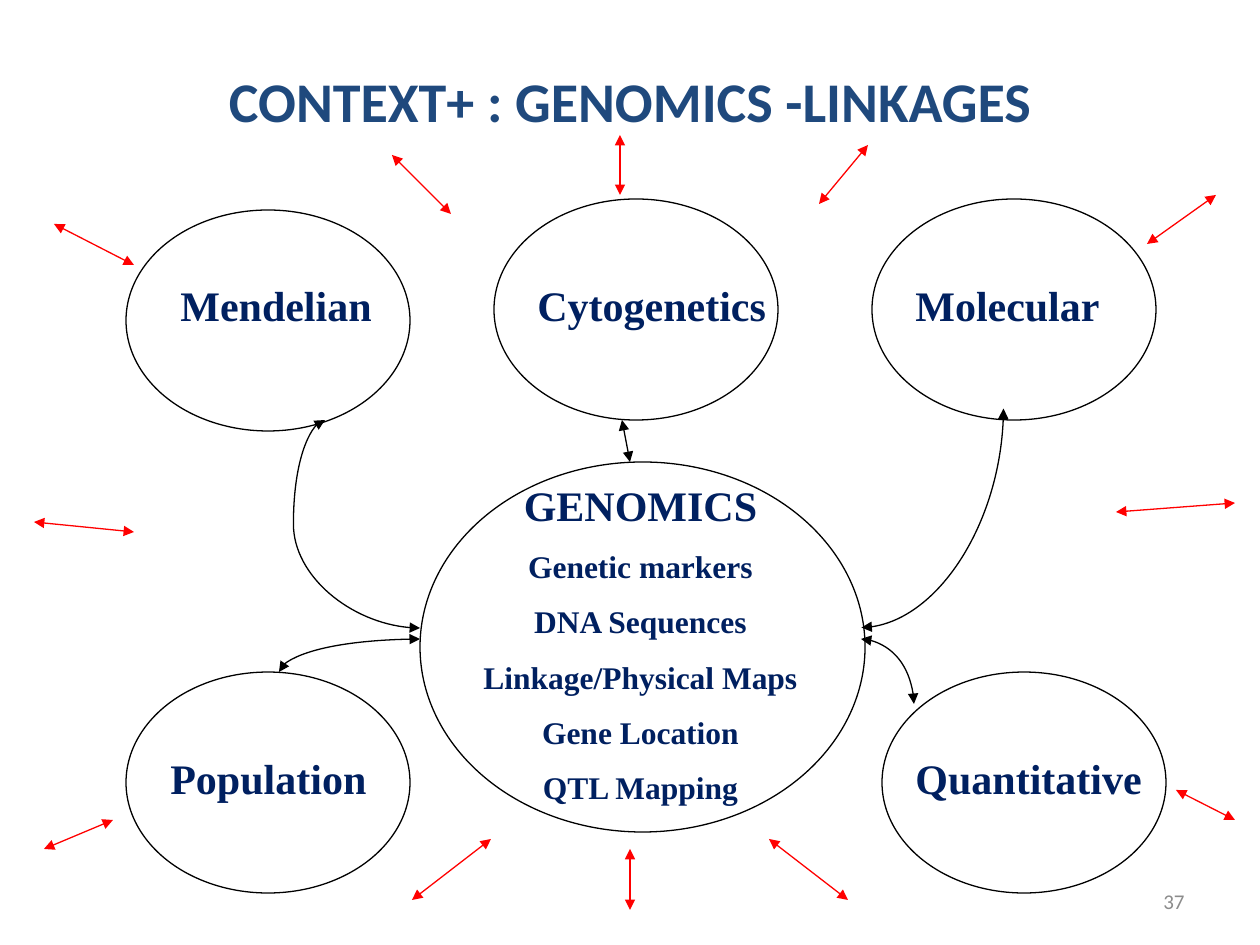
from pptx import Presentation
from pptx.dml.color import RGBColor
from pptx.enum.shapes import MSO_CONNECTOR as Link, MSO_SHAPE as Shape
from pptx.enum.text import MSO_ANCHOR as Anchor, PP_ALIGN as Align
from pptx.oxml.ns import qn
from pptx.util import Pt
from lxml.etree import SubElement

SCALE = 914400 / 126
BLACK = RGBColor(0, 0, 0)
RED = RGBColor(255, 0, 0)
NAVY = RGBColor(0x00, 0x20, 0x60)
BLUE = RGBColor(0x1F, 0x49, 0x7D)
GRAY = RGBColor(0x8C, 0x8C, 0x8C)
SERIF = "Times New Roman"
SANS = "Calibri"

FIELDS = [
    ("Mendelian", (126, 210), (168, 273, 220, 63)),
    ("Cytogenetics", (494, 199), (525, 273, 258, 113)),
    ("Molecular", (872, 199), (903, 273, 220, 63)),
    ("Population", (126, 672), (158, 746, 228, 113)),
    ("Quantitative", (882, 672), (903, 746, 256, 110)),
]
TOPICS = ["Genetic markers", "DNA Sequences", "Linkage/Physical Maps",
          "Gene Location", "QTL Mapping"]
CURVES = [
    ((325, 420, 95, 208), 180, 3),
    ((861, 639, 53, 65), 0, 2),
    ((823, 447, 219, 142), 90, 2),
    ((333, 585, 33, 141), 270, 2),
]
RAYS = [
    (44, 849, 113, 820), (1176, 790, 1235, 820), (1216, 195, 1147, 244),
    (620, 135, 620, 195), (54, 224, 134, 265), (134, 532, 34, 522),
    (868, 145, 819, 204), (392, 155, 451, 214), (1235, 503, 1116, 512),
    (412, 900, 491, 839), (848, 900, 769, 839), (630, 849, 630, 910),
]


def px(*nums):
    return [round(n * SCALE) for n in nums]


def add_text(slide, box, lines, font, color, bold=True,
             align=Align.LEFT, anchor=Anchor.TOP):
    frame = slide.shapes.add_textbox(*px(*box)).text_frame
    frame.word_wrap = True
    frame.vertical_anchor = anchor
    for i, (text, size) in enumerate(lines):
        para = frame.add_paragraph() if i else frame.paragraphs[0]
        para.text = text
        para.alignment = align
        if i:
            para.space_before = Pt(10)
        para.font.name = font
        para.font.size = Pt(size)
        para.font.bold = bold
        para.font.color.rgb = color


def add_oval(slide, box):
    oval = slide.shapes.add_shape(Shape.OVAL, *px(*box))
    oval.shadow.inherit = False
    oval.fill.background()
    oval.line.color.rgb = BLACK
    oval.line.width = Pt(0.75)


def add_link(slide, kind, ends, color):
    link = slide.shapes.add_connector(kind, *px(*ends))
    link.line.color.rgb = color
    link.line.width = Pt(0.75)
    line = link.line._get_or_add_ln()
    for tag in ("a:headEnd", "a:tailEnd"):
        SubElement(line, qn(tag), type="triangle")
    SubElement(link._element.spPr, qn("a:effectLst"))
    return link


def add_curve(slide, box, turn, bends):
    x, y, w, h = box
    link = add_link(slide, Link.CURVE, (x, y, x + w, y + h), BLACK)
    props = link._element.spPr
    props.find(qn("a:xfrm")).set("rot", str(turn * 60000))
    geom = props.find(qn("a:prstGeom"))
    geom.set("prst", f"curvedConnector{bends}")
    if bends == 3:
        guides = geom.find(qn("a:avLst"))
        SubElement(guides, qn("a:gd"), name="adj1", fmla="val 133333")


def main():
    deck = Presentation()
    deck.slide_width, deck.slide_height = px(1260, 945)
    slide = deck.slides.add_slide(deck.slide_layouts[6])

    add_text(slide, (903, 876, 294, 50), [("37", 12)], SANS, GRAY,
             False, Align.RIGHT, Anchor.MIDDLE)
    add_text(slide, (95, 21, 1071, 158),
             [("CONTEXT+ : GENOMICS -LINKAGES", 32)], SANS, BLUE,
             align=Align.CENTER, anchor=Anchor.MIDDLE)

    for name, spot, box in FIELDS:
        add_oval(slide, (*spot, 284, 221))
        add_text(slide, box, [(name, 24)], SERIF, NAVY)
    add_oval(slide, (420, 462, 445, 370))
    add_text(slide, (410, 473, 461, 333),
             [("GENOMICS", 24)] + [(topic, 18) for topic in TOPICS],
             SERIF, NAVY, align=Align.CENTER)

    for curve in CURVES:
        add_curve(slide, *curve)
    add_link(slide, Link.STRAIGHT, (622, 420, 630, 462), BLACK)
    for ray in RAYS:
        add_link(slide, Link.STRAIGHT, ray, RED)

    deck.save("out.pptx")


if __name__ == "__main__":
    main()
